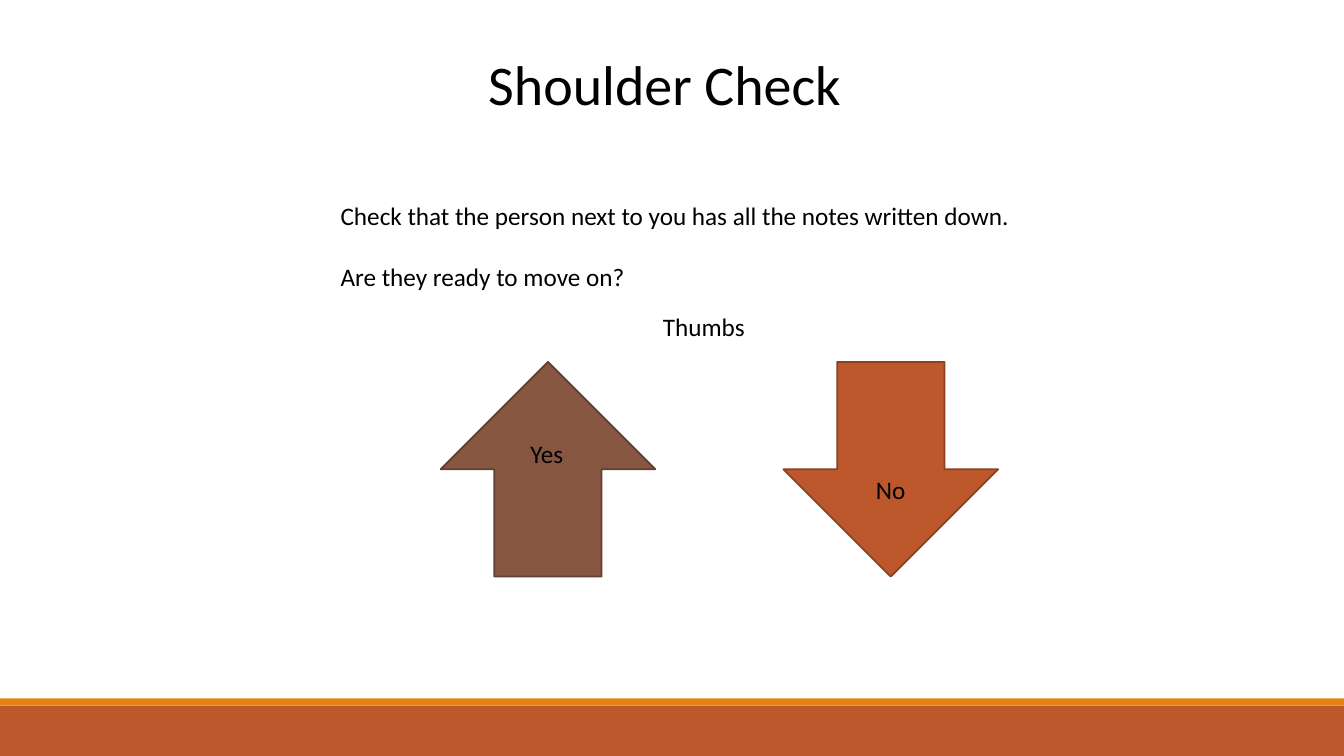
from pptx import Presentation
from pptx.dml.color import RGBColor
from pptx.enum.shapes import MSO_SHAPE
from pptx.enum.text import PP_ALIGN
from pptx.util import Inches, Pt

COLOURS = {
    "text": "000000",
    "rust": "BD582C",
    "rust_edge": "8C4121",
    "orange": "E48312",
    "brown": "865640",
    "brown_edge": "63402F",
}


def colour(name):
    """Return the named colour of the palette."""
    return RGBColor.from_string(COLOURS[name])


def add_filled_shape(page, kind, left, top, width, height, fill, edge=None):
    """Add a flat preset shape, outlined only if an edge colour is given."""
    shape = page.shapes.add_shape(
        kind, Inches(left), Inches(top), Inches(width), Inches(height)
    )
    shape.shadow.inherit = False
    shape.fill.solid()
    shape.fill.fore_color.rgb = colour(fill)
    if edge:
        shape.line.color.rgb = colour(edge)
        shape.line.width = Pt(1.25)
    else:
        shape.line.fill.background()
    return shape


def add_text(page, lines, left, top, width, height, size=18, align=PP_ALIGN.CENTER):
    """Add a text box with one spaced paragraph for each line."""
    box = page.shapes.add_textbox(
        Inches(left), Inches(top), Inches(width), Inches(height)
    )
    frame = box.text_frame
    frame.word_wrap = True
    for index, line in enumerate(lines):
        para = frame.add_paragraph() if index else frame.paragraphs[0]
        para.alignment = align
        if index:
            para.space_before = Pt(22)
        span = para.add_run()
        span.text = line
        span.font.name = "Calibri"
        span.font.size = Pt(size)
        span.font.color.rgb = colour("text")


def add_arrow(page, left, fill, edge, rotation=0):
    """Add a square block arrow that points up unless it is rotated."""
    arrow = add_filled_shape(
        page, MSO_SHAPE.UP_ARROW, left, 3.59, 2.13, 2.13, fill, edge
    )
    arrow.rotation = rotation


def main():
    """Build the Shoulder Check slide and save it."""
    deck = Presentation()
    deck.slide_width = Inches(13.33)
    deck.slide_height = Inches(7.5)
    page = deck.slides.add_slide(deck.slide_layouts[6])

    add_filled_shape(page, MSO_SHAPE.RECTANGLE, 0, 7, 13.33, 0.5, "rust")
    add_filled_shape(page, MSO_SHAPE.RECTANGLE, 0, 6.93, 13.33, 0.07, "orange")

    add_text(page, ["Shoulder Check"], 3.44, 0.44, 6.3, 0.77, size=40)
    instructions = [
        "Check that the person next to you has all the notes written down.",
        "Are they ready to move on?",
    ]
    add_text(page, instructions, 3.28, 1.94, 7.4, 4.34, align=PP_ALIGN.LEFT)

    add_arrow(page, 4.37, "brown", "brown_edge")
    add_arrow(page, 7.77, "rust", "rust_edge", rotation=180)
    add_text(page, ["Thumbs"], 5.84, 3.04, 2.28, 0.4)
    add_text(page, ["Yes"], 5.01, 4.3, 0.83, 0.4)
    add_text(page, ["No"], 8.52, 4.66, 0.63, 0.4)

    deck.save("out.pptx")


if __name__ == "__main__":
    main()
